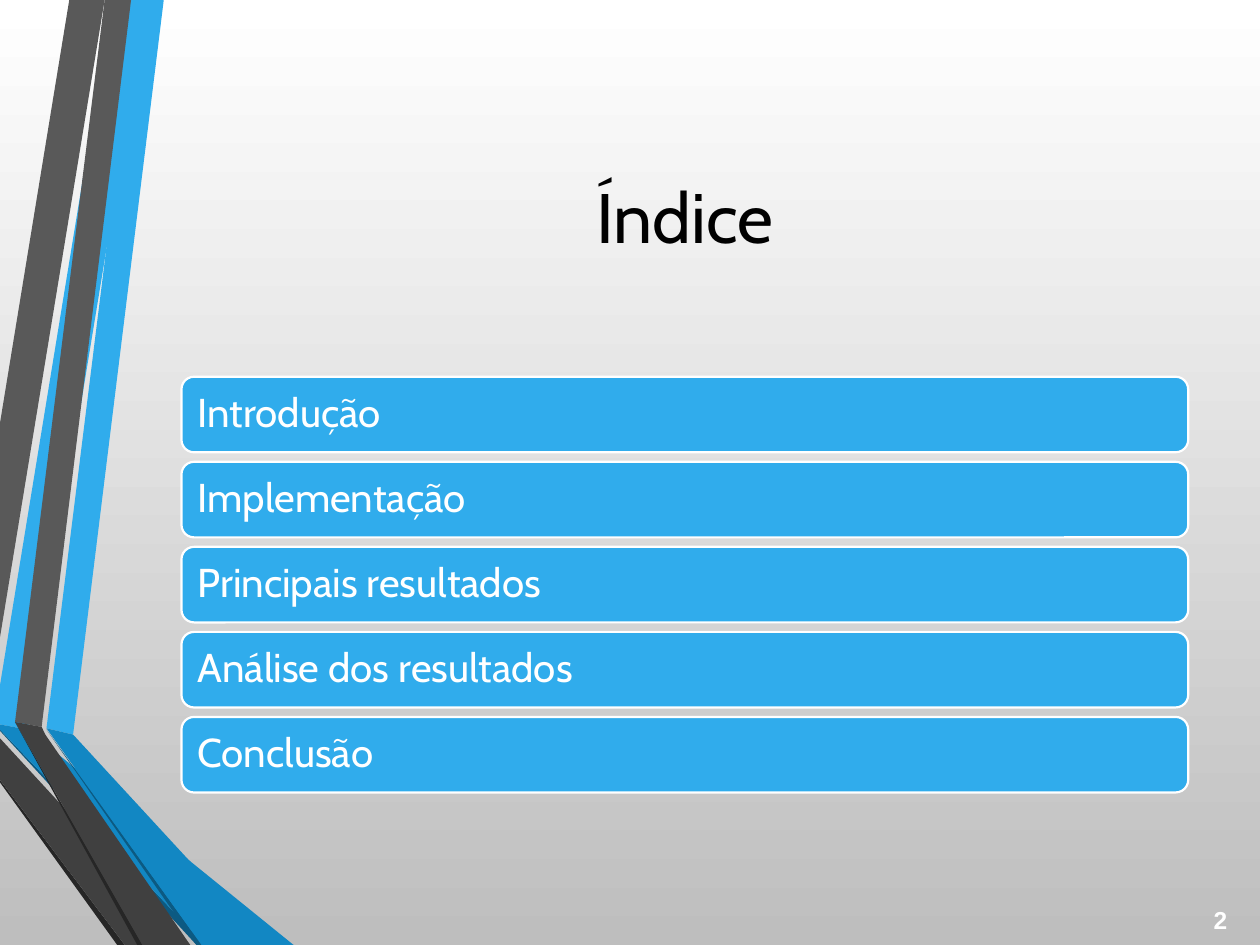
import pptx
import pptx.dml.color
import pptx.enum.shapes
import pptx.enum.text
import pptx.util

Pt = pptx.util.Pt
ALIGN = pptx.enum.text.PP_ALIGN
ANCHOR = pptx.enum.text.MSO_ANCHOR

COLORS = {
    "white": "FFFFFF", "black": "000000", "backdrop": "BEBEBE",
    "blue": "30ACEC", "blue_mid": "1287C3", "blue_dark": "0C5A82",
    "gray": "595959", "gray_mid": "404040", "gray_dark": "262626",
}

TOPICS = ["Introdução", "Implementação", "Principais resultados",
          "Análise dos resultados", "Conclusão"]

# Ribbon outlines from back to front, in points from the corner of their box
RIBBONS = [
    ("blue", [(0, 391.7), (0, 414), (15.8, 416.9), (84.2, 0), (64.1, 0)]),
    ("gray", [(59.8, 0), (39.6, 0), (0, 241.9), (0, 364.3)]),
    ("gray_dark", [(0, 445.7), (0, 447.1), (67, 540), (71.3, 540)]),
    ("blue_dark", [(0, 416.9), (0, 417.6), (112.3, 540), (117.4, 540)]),
    ("blue_mid", [(0, 414), (0, 416.9), (117.4, 540), (167.8, 540), (15.8, 416.9)]),
    ("gray_mid", [(0, 445.7), (71.3, 540), (108.7, 540), (0, 421.9)]),
    ("blue", [(26.6, 416.2), (41.8, 419.8), (93.6, 0), (78.5, 0)]),
    ("gray", [(74.9, 0), (59.8, 0), (8.6, 412.6), (23.8, 415.4)]),
    ("gray_dark", [(8.6, 412.6), (78.5, 540), (81.4, 540)]),
    ("blue_dark", [(26.6, 416.9), (112.3, 540), (115.2, 540)]),
    ("blue_mid", [(26.6, 416.2), (115.2, 540), (152.6, 540), (41.8, 419.8)]),
    ("gray_mid", [(108.7, 540), (25.9, 419.8), (23.8, 415.4), (8.6, 412.6), (81.4, 540)]),
]


def rgb(name):
    return pptx.dml.color.RGBColor.from_string(COLORS[name])


def write(shape, text, *, size, color, font="Cabin", bold=False, align=ALIGN.LEFT,
          anchor=ANCHOR.MIDDLE, inset=(0, 0), line_spacing=1.0, space_after=0):
    """Fill the shape's text frame; inset is (horizontal, vertical) in points."""
    frame = shape.text_frame
    frame.word_wrap = True
    frame.vertical_anchor = anchor
    frame.margin_left = frame.margin_right = Pt(inset[0])
    frame.margin_top = frame.margin_bottom = Pt(inset[1])
    paragraph = frame.paragraphs[0]
    paragraph.alignment = align
    paragraph.line_spacing = line_spacing
    paragraph.space_after = Pt(space_after)
    run = paragraph.add_run()
    run.text = text
    run.font.name = font
    run.font.size = Pt(size)
    run.font.bold = bold
    run.font.color.rgb = rgb(color)


def paint_background(slide):
    fill = slide.background.fill
    fill.gradient()
    fill.gradient_angle = 270
    for stop, position, color in zip(fill.gradient_stops, (0, 1), ("white", "backdrop")):
        stop.position = position
        stop.color.rgb = rgb(color)


def draw_ribbons(slide, left, top):
    for color, outline in RIBBONS:
        corners = [(Pt(left + x), Pt(top + y)) for x, y in outline]
        builder = slide.shapes.build_freeform(*corners[0])
        builder.add_line_segments(corners[1:], close=True)
        ribbon = builder.convert_to_shape()
        ribbon.shadow.inherit = False
        ribbon.fill.solid()
        ribbon.fill.fore_color.rgb = rgb(color)
        ribbon.line.fill.background()


def add_title(slide, left, top, width, height):
    title = slide.shapes.add_textbox(Pt(left), Pt(top), Pt(width), Pt(height))
    write(title, "Índice", size=40, color="black", align=ALIGN.CENTER,
          inset=(7.2, 3.6), space_after=6)


def add_page_number(slide, left, top, width, height):
    number = slide.shapes.add_textbox(Pt(left), Pt(top), Pt(width), Pt(height))
    write(number, "2", size=14, color="white", font="Arial", bold=True,
          align=ALIGN.RIGHT, anchor=ANCHOR.TOP, space_after=6)


def add_topics(slide, left, top, width, height, gap=5.4):
    """Stack one bar per topic, sharing the box height equally."""
    bar_height = (height - gap * (len(TOPICS) - 1)) / len(TOPICS)
    for index, topic in enumerate(TOPICS):
        bar = slide.shapes.add_shape(
            pptx.enum.shapes.MSO_SHAPE.ROUNDED_RECTANGLE,
            Pt(left), Pt(top + index * (bar_height + gap)), Pt(width), Pt(bar_height))
        bar.shadow.inherit = False
        bar.fill.solid()
        bar.fill.fore_color.rgb = rgb("blue")
        bar.line.color.rgb = rgb("white")
        bar.line.width = Pt(1.25)
        write(bar, topic, size=23, color="white", inset=(7.2, 7.2), line_spacing=0.9)


def main():
    deck = pptx.Presentation()
    deck.slide_width, deck.slide_height = Pt(720), Pt(540)
    slide = deck.slides.add_slide(deck.slide_layouts[6])
    paint_background(slide)
    draw_ribbons(slide, 0, 0)
    add_title(slide, 103.7, 54, 575.3, 138.2)
    add_page_number(slide, 671.8, 517, 29.5, 18.7)
    add_topics(slide, 103.7, 215.3, 575.3, 237.6)
    deck.save("out.pptx")


if __name__ == "__main__":
    main()
